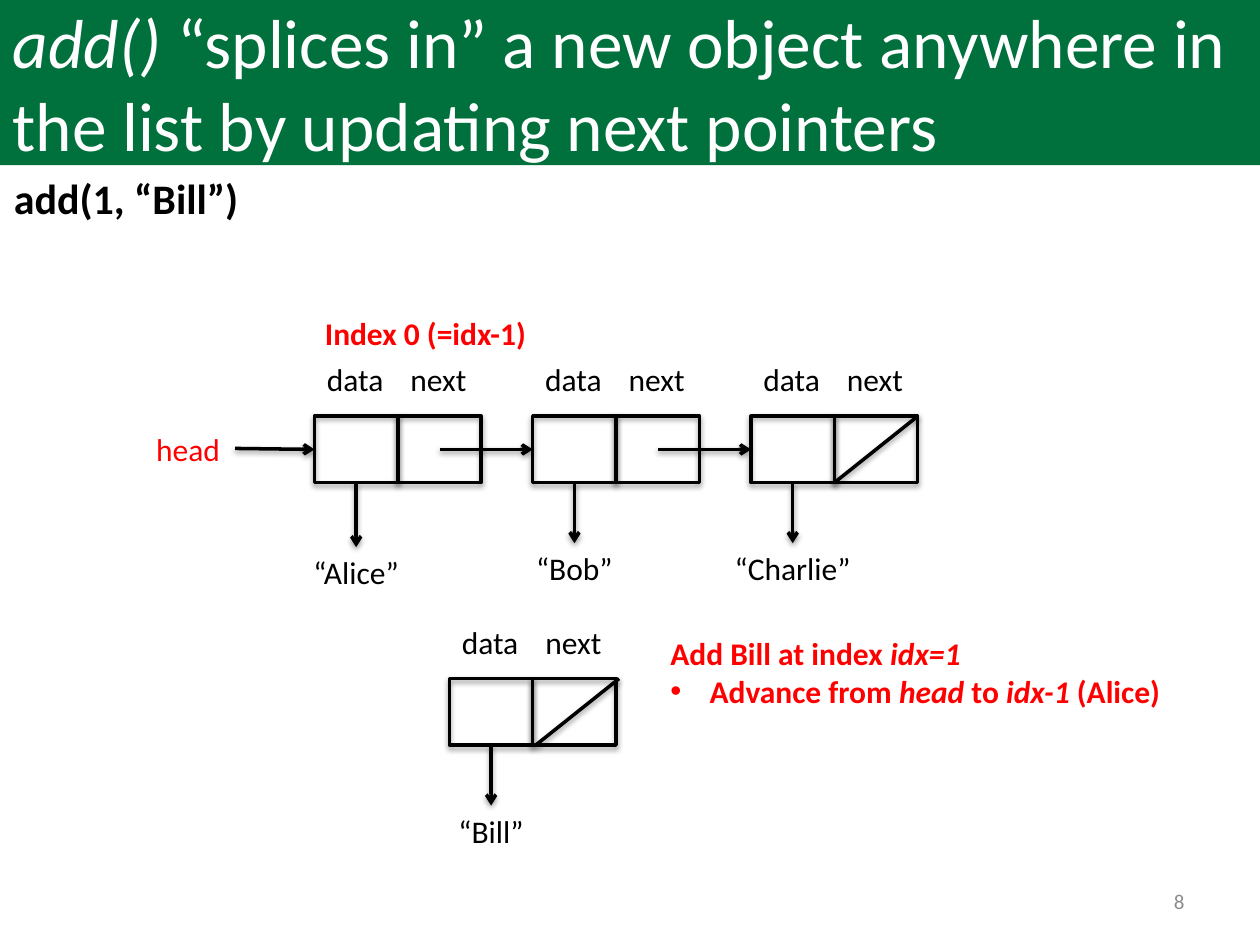
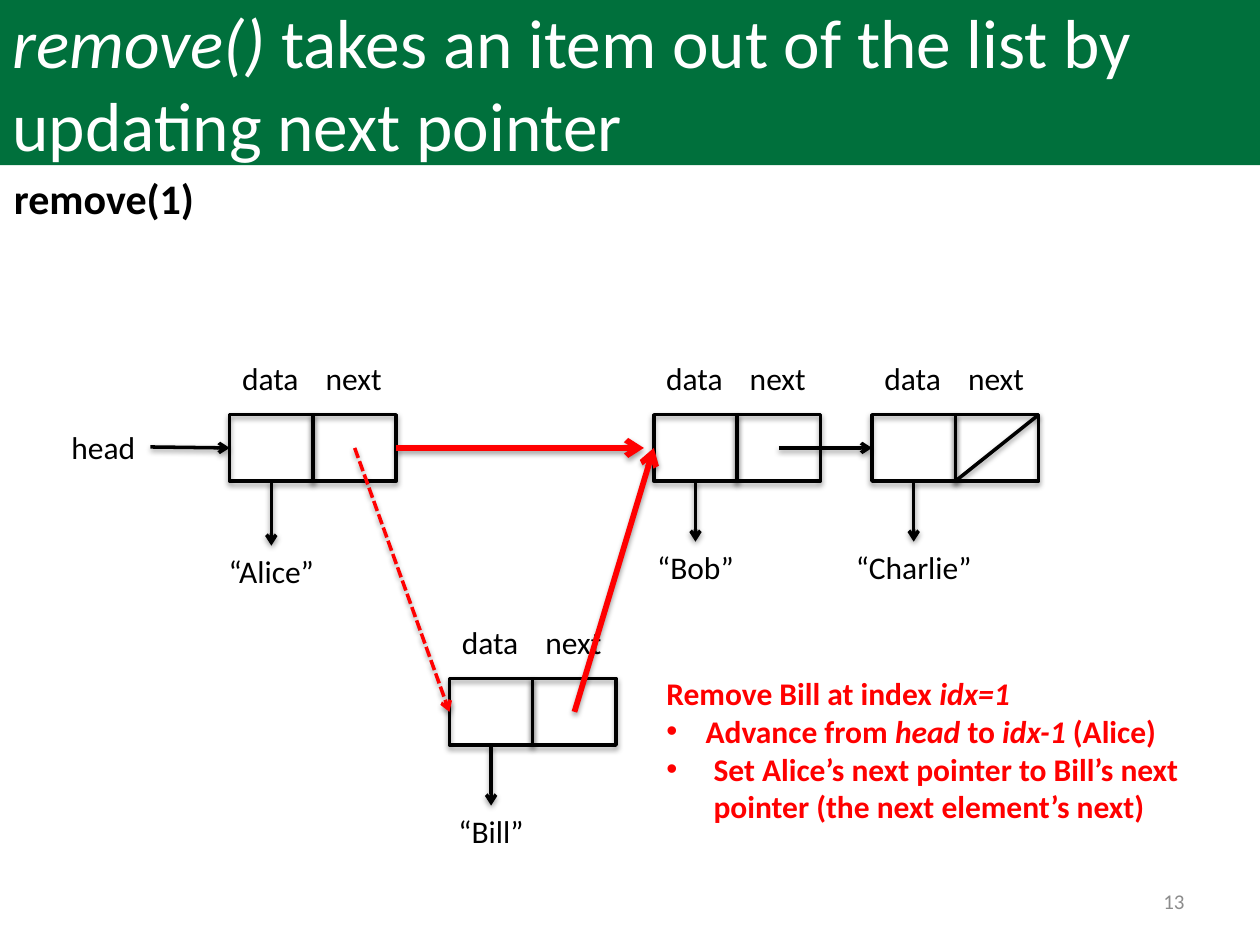
"""Build two slides on adding to and removing from a linked list."""
from dataclasses import dataclass
from typing import Optional, Sequence

from lxml import etree
from pptx import Presentation
from pptx.dml.color import RGBColor
from pptx.enum.dml import MSO_LINE
from pptx.enum.shapes import MSO_CONNECTOR, MSO_SHAPE
from pptx.enum.text import MSO_ANCHOR, MSO_AUTO_SIZE, PP_ALIGN
from pptx.oxml.ns import qn
from pptx.util import Cm, Pt

GREEN = RGBColor(0x00, 0x70, 0x3C)
WHITE = RGBColor(0xFF, 0xFF, 0xFF)
BLACK = RGBColor(0x00, 0x00, 0x00)
RED = RGBColor(0xFF, 0x00, 0x00)
GRAY = RGBColor(0x8C, 0x8C, 0x8C)
FONT = "Calibri"

LEFT, CENTER, RIGHT = PP_ALIGN.LEFT, PP_ALIGN.CENTER, PP_ALIGN.RIGHT
TOP, MIDDLE = MSO_ANCHOR.TOP, MSO_ANCHOR.MIDDLE
NO_AUTO_SIZE = MSO_AUTO_SIZE.NONE
RECTANGLE = MSO_SHAPE.RECTANGLE
STRAIGHT = MSO_CONNECTOR.STRAIGHT
DASHED = MSO_LINE.SQUARE_DOT
SIDE_LEFT, SIDE_BOTTOM, SIDE_RIGHT = 1, 2, 3

TITLE_AND_BODY = 1
CELL_WIDTH, CELL_HEIGHT = 1.68, 1.34
NODE_PITCH = 4.4
LINE_HEIGHT = 1.02
DROP = 1.22
LONG_DROP = 1.3
THIN, THICK = 2, 3.25


@dataclass
class Box:
    """Position and size in centimetres."""
    left: float
    top: float
    width: float
    height: float = LINE_HEIGHT


@dataclass
class Node:
    """A list node; slash_shift, when given, draws the null slash."""
    left: float
    top: float
    name: str
    drop: float = DROP
    slash_shift: Optional[float] = None

    @property
    def middle(self) -> float:
        """Return the vertical middle of the cells."""
        return self.top + CELL_HEIGHT / 2

    @property
    def next_center(self) -> tuple[float, float]:
        """Return the centre of the next cell."""
        return self.left + 1.5 * CELL_WIDTH, self.middle


@dataclass
class Item:
    """A paragraph of the note; a hanging indent gives it a bullet."""
    text: str
    hanging: float = 0


def place(shape, box: Box) -> None:
    """Move and size a shape."""
    shape.left, shape.top = Cm(box.left), Cm(box.top)
    shape.width, shape.height = Cm(box.width), Cm(box.height)


def write_text(shape, items: Sequence[Item], *, size: float = 18,
               color: RGBColor = BLACK, bold: bool = False,
               align=LEFT, anchor=TOP) -> None:
    """Write paragraphs in which asterisks enclose italic words."""
    frame = shape.text_frame
    frame.word_wrap, frame.auto_size = True, NO_AUTO_SIZE
    frame.vertical_anchor = anchor
    for index, item in enumerate(items):
        paragraph = frame.add_paragraph() if index else frame.paragraphs[0]
        paragraph.alignment = align
        paragraph.space_before = Pt(0)
        set_bullet(paragraph, item.hanging)
        for position, words in enumerate(item.text.split("*")):
            if words:
                run = paragraph.add_run()
                run.text = words
                font = run.font
                font.name, font.size, font.bold = FONT, Pt(size), bold
                font.italic = position % 2 == 1
                font.color.rgb = color


def set_bullet(paragraph, hanging: float) -> None:
    """Give a paragraph a hanging bullet, or none."""
    properties = paragraph._p.get_or_add_pPr()
    properties.set("marL", str(Cm(hanging)))
    properties.set("indent", str(-Cm(hanging)))
    if hanging:
        etree.SubElement(properties, qn("a:buFont"), typeface="Arial")
        etree.SubElement(properties, qn("a:buChar"), char="•")
    else:
        etree.SubElement(properties, qn("a:buNone"))


def add_text(slide, text: str, box: Box, **text_format) -> None:
    """Add a one-paragraph text box."""
    shape = slide.shapes.add_textbox(0, 0, 0, 0)
    place(shape, box)
    write_text(shape, [Item(text)], **text_format)


def add_shadow(shape) -> None:
    """Add the soft shadow below a shape or line."""
    effects = etree.SubElement(shape.element.spPr, qn("a:effectLst"))
    shadow = etree.SubElement(effects, qn("a:outerShdw"), blurRad="40000",
                              dist="20000", dir="5400000", rotWithShape="0")
    color = etree.SubElement(shadow, qn("a:srgbClr"), val=str(BLACK))
    etree.SubElement(color, qn("a:alpha"), val="38000")


def add_line(slide, start: tuple[float, float], end: tuple[float, float], *,
             color: RGBColor = BLACK, width: float = THIN, dash=None,
             arrow: bool = True):
    """Add a straight line, by default with an arrowhead at its end."""
    line = slide.shapes.add_connector(
        STRAIGHT, *(Cm(value) for value in (*start, *end)))
    line.line.color.rgb = color
    line.line.width = Pt(width)
    if dash is not None:
        line.line.dash_style = dash
    if arrow:
        outline = line.element.spPr.find(qn("a:ln"))
        etree.SubElement(outline, qn("a:tailEnd"), type="arrow")
    add_shadow(line)
    return line


def add_cell(slide, label: str, left: float, top: float):
    """Add one cell of a node with its label above."""
    cell = slide.shapes.add_shape(RECTANGLE, 0, 0, 0, 0)
    place(cell, Box(left, top, CELL_WIDTH, CELL_HEIGHT))
    cell.fill.background()
    cell.line.color.rgb = BLACK
    cell.line.width = Pt(THIN)
    add_shadow(cell)
    add_text(slide, label, Box(left - 0.03, top - 1.25, 1.7), align=CENTER)
    return cell


def add_node(slide, node: Node) -> tuple:
    """Draw a node with its value and return its data and next cells."""
    data = add_cell(slide, "data", node.left, node.top)
    following = add_cell(slide, "next", node.left + CELL_WIDTH, node.top)
    bottom, center = node.top + CELL_HEIGHT, node.left + CELL_WIDTH / 2
    value_top = bottom + node.drop
    pointer = add_line(slide, (center, bottom), (center, value_top))
    pointer.begin_connect(data, SIDE_BOTTOM)
    add_text(slide, f"“{node.name}”", Box(center - 1.69, value_top, 3.38),
             align=CENTER)
    if node.slash_shift is not None:
        left = node.left + CELL_WIDTH + node.slash_shift
        add_line(slide, (left + CELL_WIDTH, node.top), (left, bottom),
                 arrow=False)
    return data, following


def add_head(slide, node: Node, cell, color: RGBColor) -> None:
    """Draw the head reference to the first node."""
    add_text(slide, "head", Box(node.left - 3.44, node.top + 0.15, 1.83),
             color=color)
    arrow = add_line(slide, (node.left - 1.6, node.middle - 0.02),
                     (node.left, node.middle))
    arrow.end_connect(cell, SIDE_LEFT)


def link(slide, source: Node, target: Node, cell, **line_format) -> None:
    """Draw the next pointer from one node to the data cell of another."""
    arrow = add_line(slide, source.next_center, (target.left, target.middle),
                     **line_format)
    arrow.end_connect(cell, SIDE_LEFT)


def add_list_slide(presentation, title: str, call: str, number: int,
                   note: Sequence[Item], note_box: Box):
    """Add a slide with the title band, call, note and number."""
    layout = presentation.slide_layouts[TITLE_AND_BODY]
    slide = presentation.slides.add_slide(layout)
    band = slide.shapes.title
    place(band, Box(0, 0, 25.4, 3.33))
    band.fill.solid()
    band.fill.fore_color.rgb = GREEN
    write_text(band, [Item(title)], size=39.6, color=WHITE, anchor=MIDDLE)
    body = slide.placeholders[1]
    place(body, note_box)
    write_text(body, note, color=RED, bold=True)
    add_text(slide, call, Box(0.03, 3.35, 22.86, 1.27), size=24, bold=True)
    add_text(slide, str(number), Box(18.2, 17.65, 5.93), size=12, color=GRAY,
             align=RIGHT, anchor=MIDDLE)
    return slide


def build_add_slide(presentation) -> None:
    """Build the slide on adding a node."""
    slide = add_list_slide(
        presentation,
        "*add()* “splices in” a new object anywhere in the list by updating "
        "next pointers",
        "add(1, “Bill”)", 8,
        [Item("Add Bill at index *idx=1*"),
         Item("Advance from *head* to *idx-1* (Alice)", 0.79)],
        Box(13.26, 12.65, 11.99, 1.8))
    left, top = 6.34, 8.39
    chain = [Node(left, top, "Alice", LONG_DROP),
             Node(left + NODE_PITCH, top, "Bob"),
             Node(left + 2 * NODE_PITCH, top, "Charlie", slash_shift=0)]
    data_cells = [add_node(slide, node)[0] for node in chain]
    add_head(slide, chain[0], data_cells[0], RED)
    for source, target, cell in zip(chain, chain[1:], data_cells[1:]):
        link(slide, source, target, cell)
    add_node(slide, Node(9.06, 13.68, "Bill", slash_shift=0.06))
    add_text(slide, "Index 0 (=idx-1)", Box(6.3, 6.2, 11.18), color=RED,
             bold=True)


def build_remove_slide(presentation) -> None:
    """Build the slide on removing a node."""
    slide = add_list_slide(
        presentation,
        "*remove()* takes an item out of the list by updating next pointer",
        "remove(1)", 13,
        [Item("Remove Bill at index *idx=1*"),
         Item("Advance from *head* to *idx-1* (Alice)", 0.79),
         Item("Set Alice’s next pointer to Bill’s next pointer "
              "(the next element’s next)", 0.95)],
        Box(13.18, 13.46, 12.22, 3.33))
    top, bob_left = 8.36, 13.18
    alice = Node(4.63, top, "Alice", LONG_DROP)
    bob = Node(bob_left, top, "Bob")
    charlie = Node(bob_left + NODE_PITCH, top, "Charlie", slash_shift=0)
    bill = Node(9.06, 13.68, "Bill")
    alice_data, alice_next = add_node(slide, alice)
    bob_data, charlie_data, bill_data = (
        add_node(slide, node)[0] for node in (bob, charlie, bill))
    add_head(slide, alice, alice_data, BLACK)
    link(slide, bob, charlie, charlie_data)
    link(slide, bill, bob, bob_data, color=RED, width=THICK)
    bypass = add_line(slide, (alice.left + 2 * CELL_WIDTH, alice.middle),
                      (bob.left - 0.2, bob.middle), color=RED, width=THICK)
    bypass.begin_connect(alice_next, SIDE_RIGHT)
    link(slide, alice, bill, bill_data, color=RED, dash=DASHED)


def main() -> None:
    """Build and save the presentation."""
    presentation = Presentation()
    presentation.slide_width, presentation.slide_height = Cm(25.4), Cm(19.05)
    build_add_slide(presentation)
    build_remove_slide(presentation)
    presentation.save("out.pptx")


if __name__ == "__main__":
    main()
